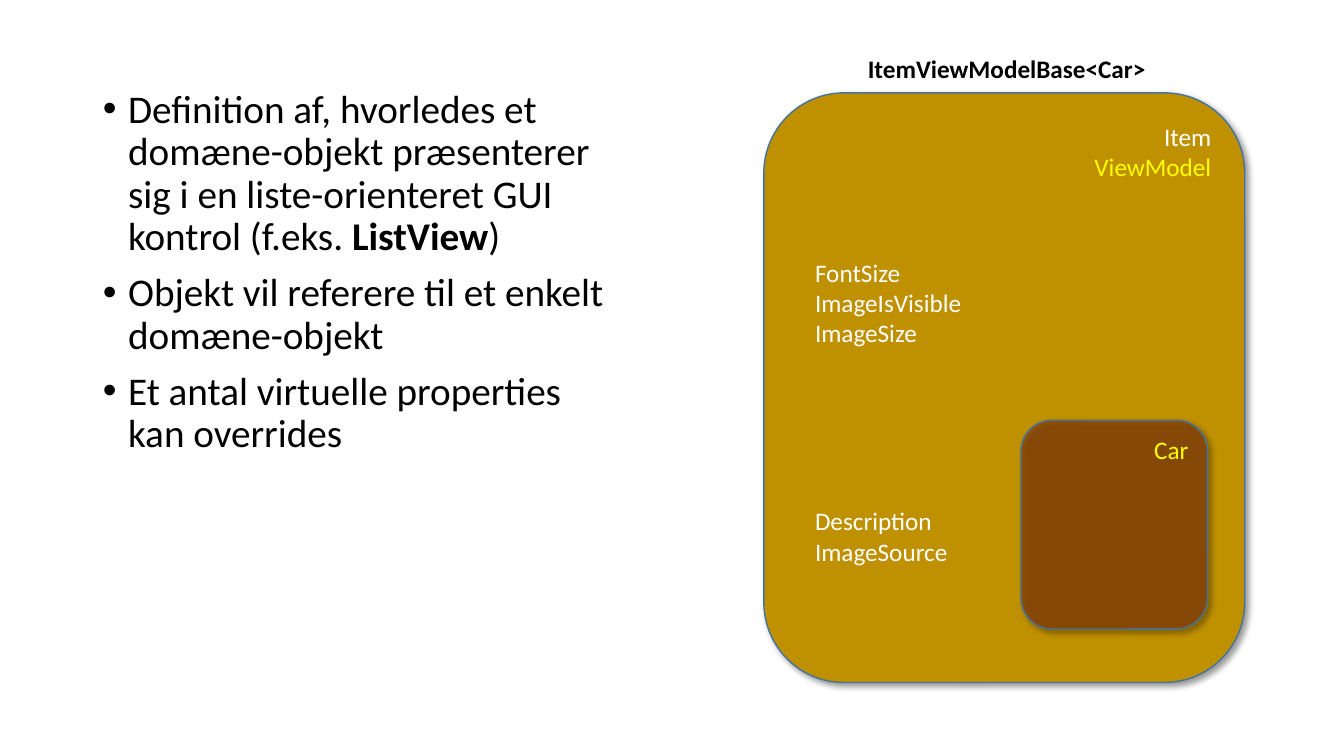
from lxml.etree import SubElement
from pptx import Presentation
from pptx.dml.color import RGBColor
from pptx.enum.shapes import MSO_SHAPE
from pptx.enum.text import MSO_ANCHOR, MSO_AUTO_SIZE, PP_ALIGN
from pptx.oxml.ns import qn
from pptx.util import Cm, Pt

BLACK = RGBColor(0x00, 0x00, 0x00)
WHITE = RGBColor(0xFF, 0xFF, 0xFF)
YELLOW = RGBColor(0xFF, 0xFF, 0x00)
GOLD = RGBColor(0xBF, 0x90, 0x00)
BROWN = RGBColor(0x84, 0x3C, 0x0B)
OUTLINE = RGBColor(0x43, 0x73, 0x9E)
FONT = "Calibri"

# Each point is a list of (text, bold) pieces
POINTS = [
    [("Definition af, hvorledes et domæne-objekt præsenterer sig i en "
      "liste-orienteret GUI kontrol (f.eks. ", False),
     ("ListView", True), (")", False)],
    [("Objekt vil referere til et enkelt domæne-objekt", False)],
    [("Et antal virtuelle properties kan overrides", False)],
]


def format_font(font, size, color, bold=False):
    font.name = FONT
    font.size = Pt(size)
    font.color.rgb = color
    font.bold = bold


def write_lines(frame, lines, colors, align=PP_ALIGN.LEFT, bold=False):
    frame.text = "\n".join(lines)
    for paragraph, color in zip(frame.paragraphs, colors):
        paragraph.alignment = align
        format_font(paragraph.runs[0].font, 18, color, bold)


def add_shadow(shape):
    shape.shadow.inherit = False
    effects = shape._element.spPr.find(qn("a:effectLst"))
    shadow = SubElement(effects, qn("a:outerShdw"), blurRad=str(Pt(4)),
                        dist=str(Pt(3)), dir="2700000", algn="tl", rotWithShape="0")
    black = SubElement(shadow, qn("a:srgbClr"), val="000000")
    SubElement(black, qn("a:alpha"), val="40000")


def add_object_box(slide, left, top, width, height, fill, lines, colors, opacity=100):
    box = slide.shapes.add_shape(MSO_SHAPE.ROUNDED_RECTANGLE,
                                 Cm(left), Cm(top), Cm(width), Cm(height))
    box.fill.solid()
    box.fill.fore_color.rgb = fill
    if opacity < 100:
        fill_color = box._element.spPr.find(qn("a:solidFill"))[0]
        SubElement(fill_color, qn("a:alpha"), val=str(opacity * 1000))
    box.line.color.rgb = OUTLINE
    box.line.width = Pt(1)
    add_shadow(box)
    box.text_frame.vertical_anchor = MSO_ANCHOR.TOP
    write_lines(box.text_frame, lines, colors, PP_ALIGN.RIGHT)


def add_label(slide, left, top, width, height, lines, color, bold=False, wrap=False):
    label = slide.shapes.add_textbox(Cm(left), Cm(top), Cm(width), Cm(height))
    label.text_frame.word_wrap = wrap
    label.text_frame.auto_size = MSO_AUTO_SIZE.SHAPE_TO_FIT_TEXT
    write_lines(label.text_frame, lines, [color] * len(lines), bold=bold)


def fill_points(body):
    body.left, body.top = Cm(2.34), Cm(2.13)
    body.width, body.height = Cm(13.41), Cm(15.04)
    frame = body.text_frame
    frame.auto_size = MSO_AUTO_SIZE.NONE
    for index, pieces in enumerate(POINTS):
        paragraph = frame.add_paragraph() if index else frame.paragraphs[0]
        properties = paragraph._p.get_or_add_pPr()
        properties.set("marL", str(Pt(18)))
        properties.set("indent", str(-Pt(18)))
        SubElement(properties, qn("a:buFont"), typeface="Arial")
        SubElement(properties, qn("a:buChar"), char="•")
        paragraph.line_spacing = 0.9
        paragraph.space_before = Pt(10 if index else 0)
        for text, bold in pieces:
            run = paragraph.add_run()
            run.text = text
            format_font(run.font, 28, BLACK, bold)


def main():
    presentation = Presentation()
    presentation.slide_width, presentation.slide_height = Cm(33.87), Cm(19.05)
    slide = presentation.slides.add_slide(presentation.slide_layouts[1])
    heading = slide.shapes.title._element
    heading.getparent().remove(heading)

    # Explanation on the left
    fill_points(slide.placeholders[1])

    # View model with its wrapped domain object
    add_object_box(slide, 19.25, 2.34, 12.12, 14.86, GOLD,
                   ["Item", "ViewModel"], [WHITE, YELLOW])
    add_object_box(slide, 25.73, 10.59, 4.7, 5.26, BROWN, ["Car"], [YELLOW], opacity=70)

    # Properties and class name
    add_label(slide, 20.29, 6.35, 4.24, 2.57,
              ["FontSize", "ImageIsVisible", "ImageSize"], WHITE)
    add_label(slide, 20.29, 12.62, 3.89, 1.8, ["Description", "ImageSource"], WHITE)
    add_label(slide, 21.62, 1.22, 7.72, 1.02,
              ["ItemViewModelBase<Car>"], BLACK, bold=True, wrap=True)

    presentation.save("out.pptx")


if __name__ == "__main__":
    main()
